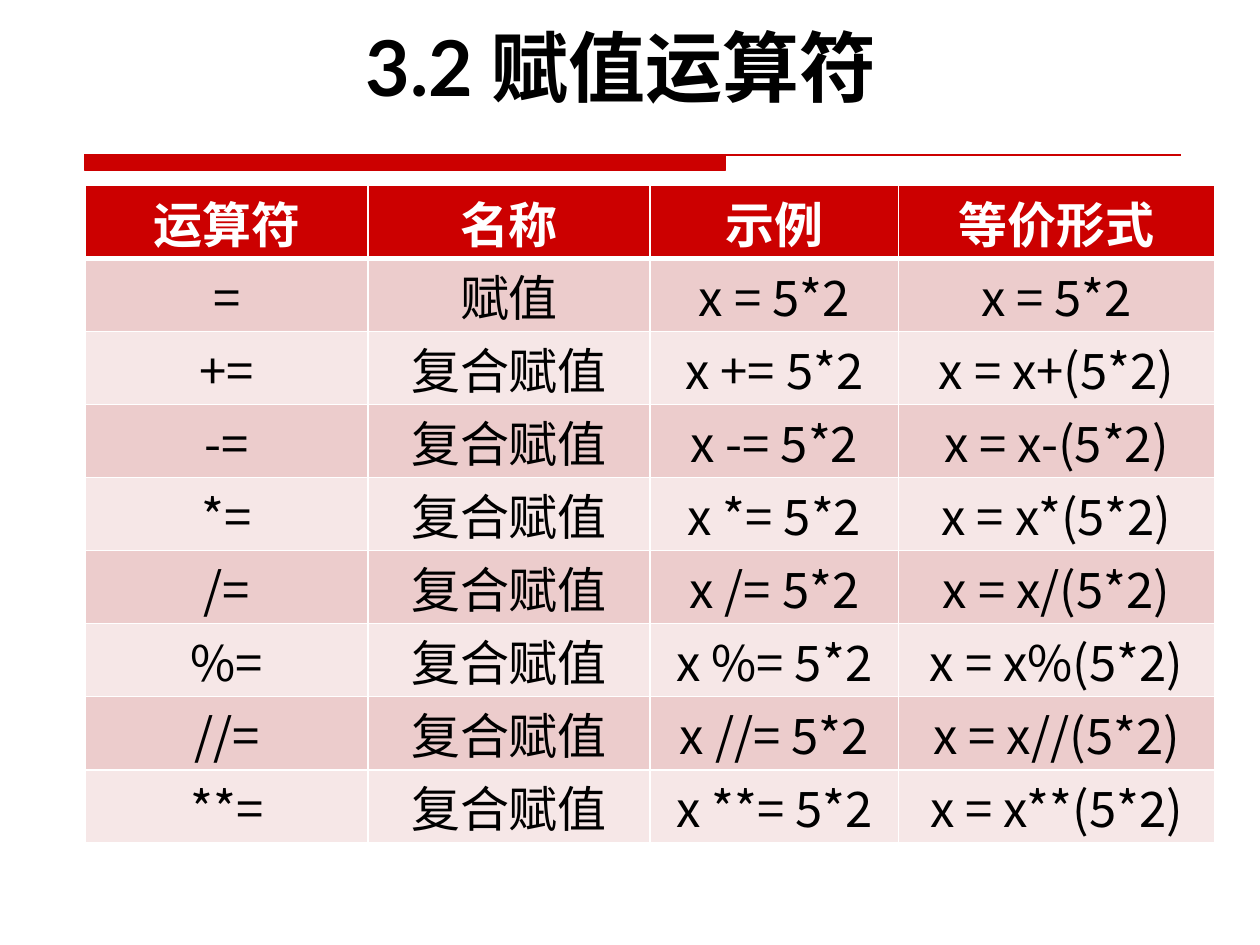
from dataclasses import dataclass

from lxml import etree
from pptx import Presentation
from pptx import util as u
from pptx.dml.color import RGBColor
from pptx.enum import text
from pptx.oxml import ns

TITLE = "3.2 赋值运算符"
HEADERS = ("运算符", "名称", "示例", "等价形式")
OPERATORS = ("=", "+=", "-=", "*=", "/=", "%=", "//=", "**=")
COLUMN_SHARES = (0.25, 0.25, 0.22, 0.28)


@dataclass(frozen=True)
class Theme:
    accent: str = "CC0000"
    bands: tuple = ("ECCCCC", "F6E7E7")
    ink: str = "000000"
    paper: str = "FFFFFF"
    title_font: str = "Lato"
    header_font: str = "Times New Roman"
    body_font: str = "Noto Sans CJK SC"
    title_size: int = 44
    table_size: int = 28


THEME = Theme()
WIDTH, HEIGHT = u.Inches(10), u.Inches(7.5)
TABLE_LEFT, TABLE_TOP = u.Inches(0.68), u.Inches(1.47)
TABLE_WIDTH, ROW_HEIGHT = u.Inches(8.96), u.Inches(0.58)


def operator_row(operator):
    name = "赋值" if operator == "=" else "复合赋值"
    result = "x = 5*2" if operator == "=" else f"x = x{operator[:-1]}(5*2)"
    return operator, name, f"x {operator} 5*2", result


def add_run(paragraph, content, font, size, color, bold):
    run = paragraph.add_run()
    run.text = content
    run.font.name = font
    run.font.size = u.Pt(size)
    run.font.bold = bold
    run.font.color.rgb = RGBColor.from_string(color)
    east_asian = etree.SubElement(run.font._element, ns.qn("a:ea"))
    east_asian.set("typeface", THEME.body_font)


def add_border(cell, side, points):
    properties = cell._tc.get_or_add_tcPr()
    line = etree.SubElement(properties, ns.qn(f"a:ln{side}"), w=str(u.Pt(points)))
    fill = etree.SubElement(line, ns.qn("a:solidFill"))
    etree.SubElement(fill, ns.qn("a:srgbClr"), val=THEME.paper)


def add_title(slide):
    title = slide.shapes.title
    title.left, title.top = u.Inches(2.8), u.Inches(0.13)
    title.width, title.height = u.Inches(5), u.Inches(0.84)
    frame = title.text_frame
    frame.auto_size = text.MSO_AUTO_SIZE.NONE
    frame.vertical_anchor = text.MSO_ANCHOR.MIDDLE
    frame.margin_top, frame.margin_bottom = 0, u.Inches(0.05)
    paragraph = frame.paragraphs[0]
    paragraph.alignment = text.PP_ALIGN.LEFT
    add_run(paragraph, TITLE, THEME.title_font, THEME.title_size, THEME.ink, True)


def add_divider(slide):
    left, top, bar_right, rule_right, bottom = map(u.Inches, (0.67, 1.23, 5.76, 9.37, 1.35))
    builder = slide.shapes.build_freeform(left, top)
    builder.add_line_segments([(bar_right, top), (bar_right, bottom), (left, bottom)])
    builder.move_to(left, top)
    builder.add_line_segments([(rule_right, top)], close=False)
    divider = builder.convert_to_shape()
    divider.shadow.inherit = False
    divider.fill.solid()
    divider.fill.fore_color.rgb = RGBColor.from_string(THEME.accent)
    divider.line.color.rgb = RGBColor.from_string(THEME.accent)
    divider.line.width = u.Pt(0.75)


def style_cell(cell, content, row):
    header = row == 0
    for side, points in (("L", 1), ("R", 1), ("T", 3 if row == 1 else 1), ("B", 3 if header else 1)):
        add_border(cell, side, points)
    cell.fill.solid()
    color = THEME.accent if header else THEME.bands[(row - 1) % 2]
    cell.fill.fore_color.rgb = RGBColor.from_string(color)
    cell.margin_top, cell.margin_bottom = u.Inches(0.01), 0
    paragraph = cell.text_frame.paragraphs[0]
    paragraph.alignment = text.PP_ALIGN.CENTER
    font = THEME.header_font if header else THEME.body_font
    add_run(paragraph, content, font, THEME.table_size, THEME.paper if header else THEME.ink, header)


def add_operator_table(slide):
    rows = [HEADERS, *map(operator_row, OPERATORS)]
    table = slide.shapes.add_table(
        len(rows), len(HEADERS), TABLE_LEFT, TABLE_TOP, TABLE_WIDTH, ROW_HEIGHT * len(rows)
    ).table
    for column, share in zip(table.columns, COLUMN_SHARES):
        column.width = int(TABLE_WIDTH * share)
    for row, contents in enumerate(rows):
        table.rows[row].height = ROW_HEIGHT
        for column, content in enumerate(contents):
            style_cell(table.cell(row, column), content, row)


def main():
    presentation = Presentation()
    presentation.slide_width, presentation.slide_height = WIDTH, HEIGHT
    slide = presentation.slides.add_slide(presentation.slide_layouts[5])
    add_divider(slide)
    add_title(slide)
    add_operator_table(slide)
    presentation.save("out.pptx")


if __name__ == "__main__":
    main()
